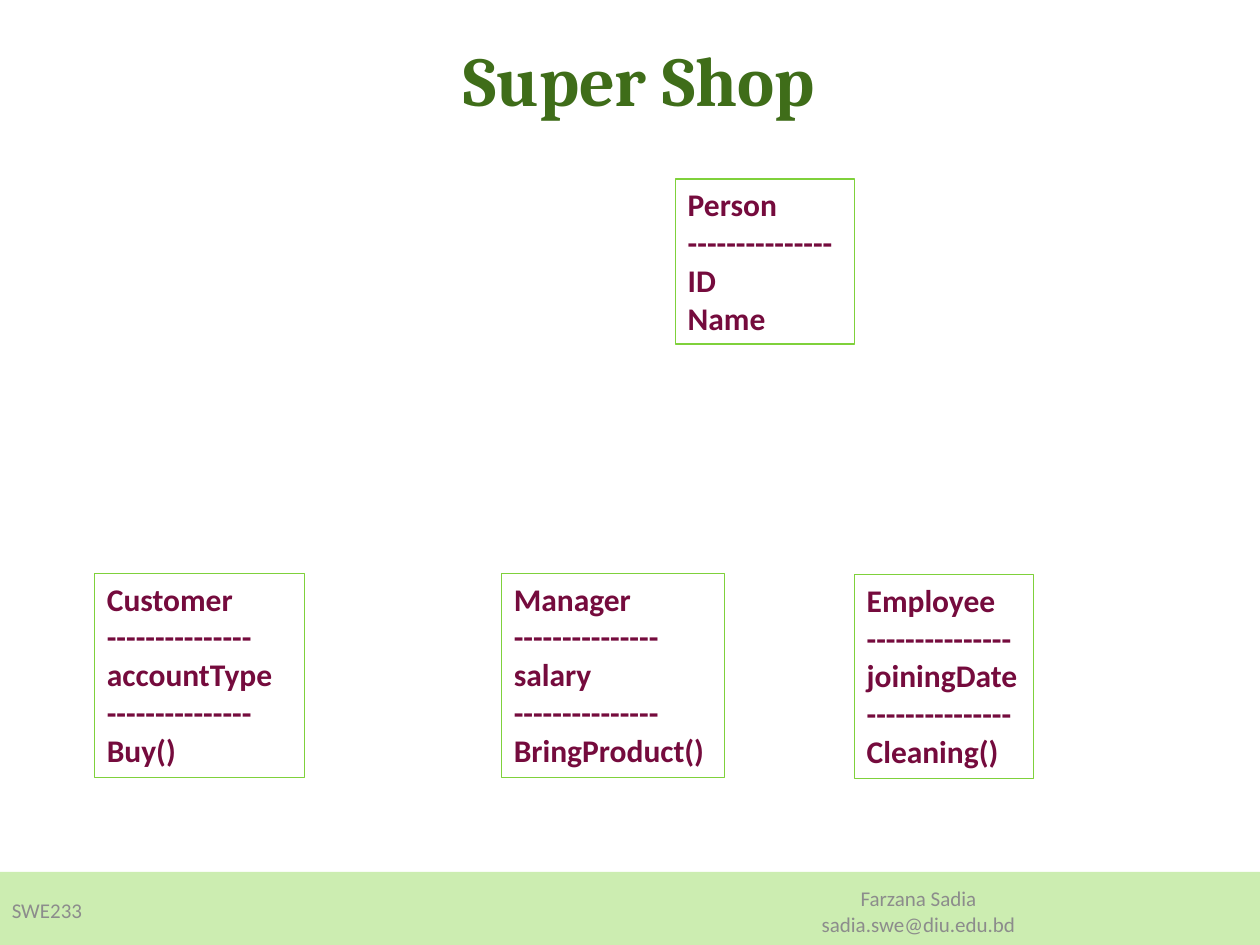
import pptx
import pptx.dml.color
import pptx.enum.shapes
import pptx.enum.text
import pptx.util

Pt = pptx.util.Pt
RGBColor = pptx.dml.color.RGBColor
ALIGN = pptx.enum.text.PP_ALIGN
ANCHOR = pptx.enum.text.MSO_ANCHOR
RECTANGLE = pptx.enum.shapes.MSO_SHAPE.RECTANGLE

TITLE_GREEN = RGBColor(0x3F, 0x6D, 0x19)
BOX_GREEN = RGBColor(0x7F, 0xD1, 0x3B)
BAND_GREEN = RGBColor(0xCC, 0xED, 0xB1)
CLASS_MAROON = RGBColor(0x75, 0x0B, 0x3D)
FOOTER_GRAY = RGBColor(0x8C, 0x8C, 0x8C)

DIVIDER = "-" * 15
CLASSES = [
    ((54, 327.6, 120.24, 116.64), ["Customer", "accountType", "Buy()"]),
    ((286.56, 327.6, 127.44, 116.64), ["Manager", "salary", "BringProduct()"]),
    ((488.16, 328.32, 102.24, 116.64), ["Employee", "joiningDate", "Cleaning()"]),
    ((385.92, 102.24, 102.24, 94.32), ["Person", "ID\nName"]),
]


def write_text(shape, text, *, size, color, font="Calibri", bold=False,
               align=ALIGN.LEFT, anchor=ANCHOR.TOP):
    """Write one paragraph per line of text into the shape."""
    frame = shape.text_frame
    frame.word_wrap = True
    frame.vertical_anchor = anchor
    frame.text = text
    for paragraph in frame.paragraphs:
        paragraph.alignment = align
        paragraph.font.name = font
        paragraph.font.size = Pt(size)
        paragraph.font.bold = bold
        paragraph.font.color.rgb = color


def add_title(slide, box, text):
    """Place and format the title placeholder."""
    title = slide.shapes.title
    title.left, title.top, title.width, title.height = map(Pt, box)
    write_text(title, text, size=40, color=TITLE_GREEN, font="Cambria",
               bold=True, align=ALIGN.CENTER, anchor=ANCHOR.MIDDLE)


def add_class_box(slide, box, sections):
    """Add an outlined class box with dashes between its sections."""
    shape = slide.shapes.add_shape(RECTANGLE, *map(Pt, box))
    shape.shadow.inherit = False
    shape.fill.background()
    shape.line.color.rgb = BOX_GREEN
    shape.line.width = Pt(0.75)
    write_text(shape, f"\n{DIVIDER}\n".join(sections), size=18,
               color=CLASS_MAROON, bold=True)
    shape.text_frame.auto_size = pptx.enum.text.MSO_AUTO_SIZE.SHAPE_TO_FIT_TEXT


def add_footer(slide, box):
    """Add the footer band with the course code and the lecturer."""
    left, top, width, height = box
    band = slide.shapes.add_shape(RECTANGLE, *map(Pt, box))
    band.shadow.inherit = False
    band.fill.solid()
    band.fill.fore_color.rgb = BAND_GREEN
    band.line.fill.background()
    labels = [
        (455.76, 8.64, 138.24, 27.36, "Farzana Sadia\nsadia.swe@diu.edu.bd", ALIGN.CENTER),
        (-5.76, 7.2, 59.76, 28.8, "SWE233", ALIGN.RIGHT),
    ]
    for offset_x, offset_y, label_width, label_height, text, align in labels:
        label = slide.shapes.add_textbox(Pt(left + offset_x), Pt(top + offset_y),
                                         Pt(label_width), Pt(label_height))
        write_text(label, text, size=12, color=FOOTER_GRAY, align=align,
                   anchor=ANCHOR.MIDDLE)


def main():
    """Build and save the class diagram slide."""
    presentation = pptx.Presentation()
    presentation.slide_width = Pt(720)
    presentation.slide_height = Pt(540)
    slide = presentation.slides.add_slide(presentation.slide_layouts[5])
    add_footer(slide, (0, 498.24, 720, 41.76))
    add_title(slide, (41.04, 0, 648, 90), "Super Shop")
    for box, sections in CLASSES:
        add_class_box(slide, box, sections)
    presentation.save("out.pptx")


if __name__ == "__main__":
    main()
